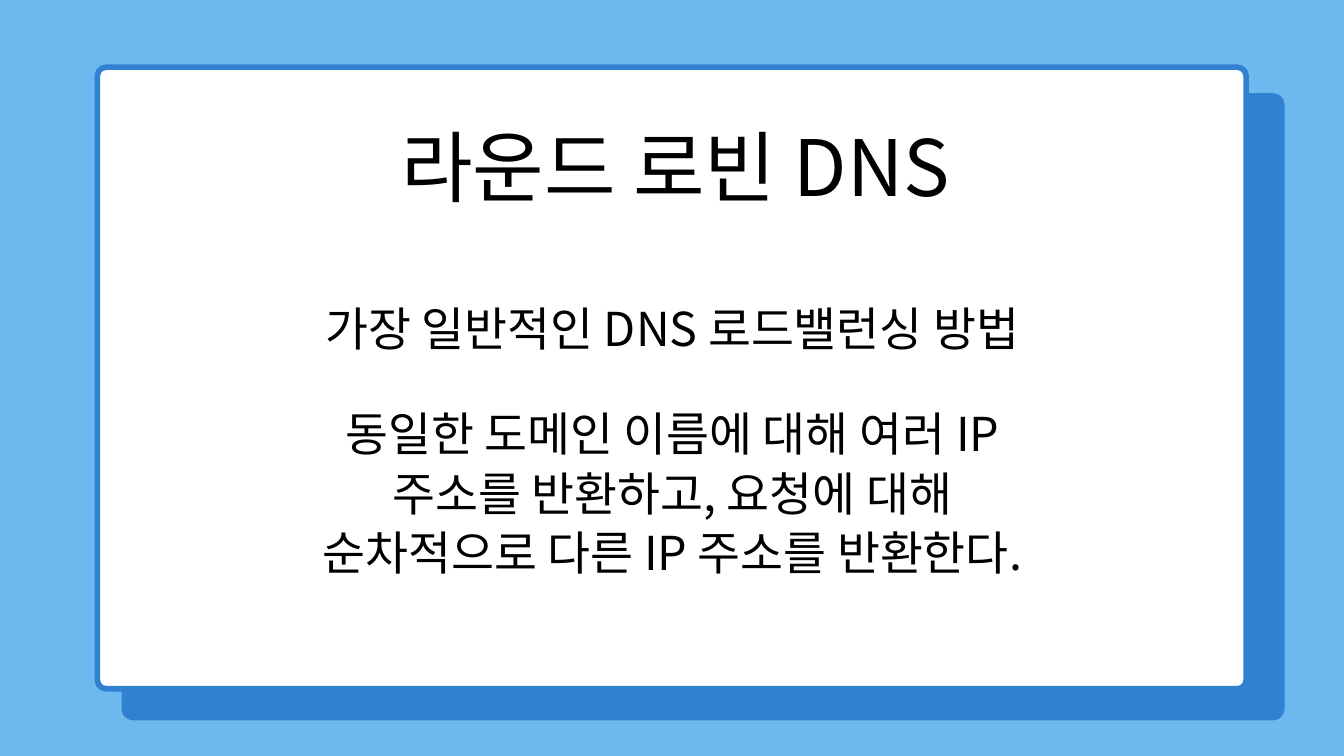
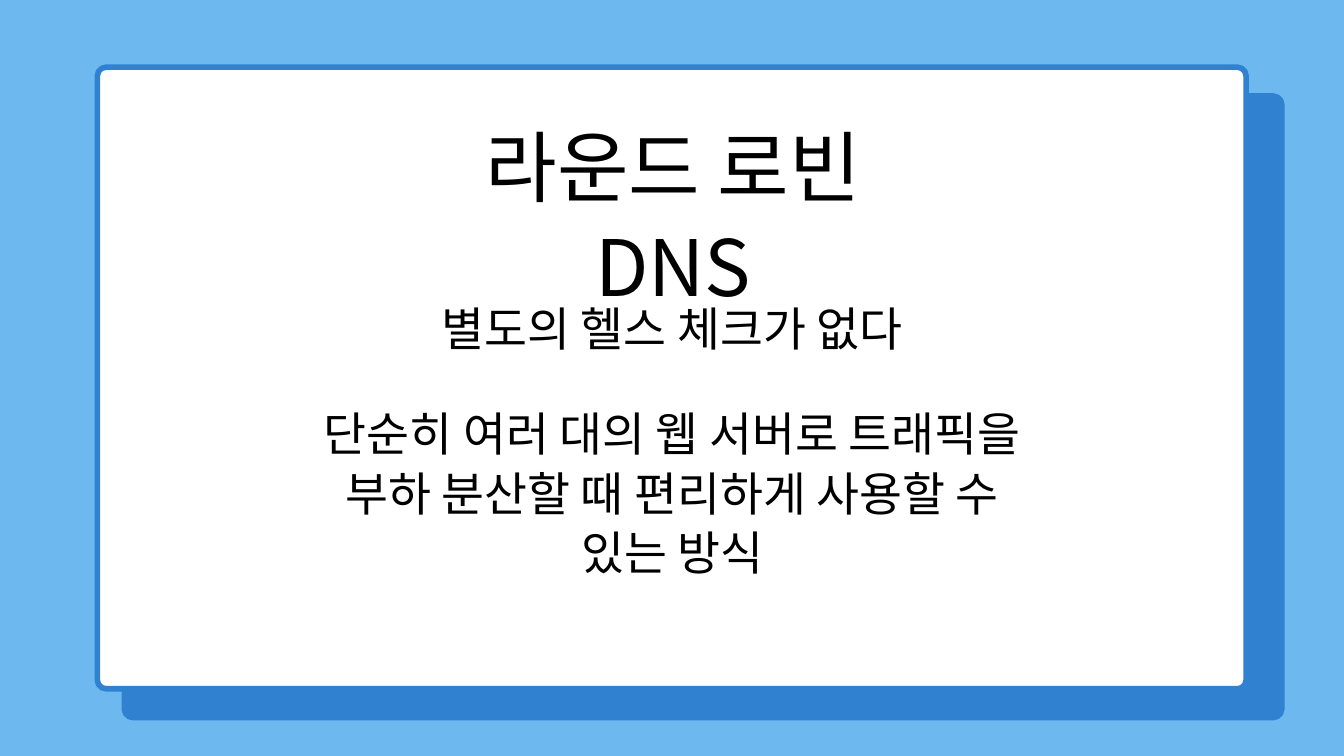
"""Builds two slides on round robin DNS, each a framed card over a blue backdrop."""
from lxml.etree import SubElement
from pptx import Presentation
from pptx.dml.color import RGBColor
from pptx.enum.shapes import MSO_SHAPE
from pptx.enum.text import MSO_ANCHOR, MSO_AUTO_SIZE, PP_ALIGN
from pptx.oxml.ns import qn
from pptx.util import Cm, Pt

SKY = RGBColor(0x6D, 0xB9, 0xEF)
BLUE = RGBColor(0x30, 0x81, 0xD0)
WHITE = RGBColor(0xFF, 0xFF, 0xFF)
BLACK = RGBColor(0x00, 0x00, 0x00)
FONT = "Noto Sans CJK KR"
TITLE_ONLY = 5

TOPICS = [
    (
        "라운드 로빈 DNS",
        20.9,
        "가장 일반적인 DNS 로드밸런싱 방법",
        "동일한 도메인 이름에 대해 여러 IP 주소를 반환하고, 요청에 대해 순차적으로 다른 IP 주소를 반환한다.",
    ),
    (
        "라운드 로빈 DNS",
        20.7,
        "별도의 헬스 체크가 없다",
        "단순히 여러 대의 웹 서버로 트래픽을 부하 분산할 때 편리하게 사용할 수 있는 방식",
    ),
]


class Deck:
    def __init__(self):
        self.presentation = Presentation()
        self.presentation.slide_width = Cm(50.8)
        self.presentation.slide_height = Cm(28.58)
        self.slide = None

    def start_slide(self):
        layout = self.presentation.slide_layouts[TITLE_ONLY]
        self.slide = self.presentation.slides.add_slide(layout)
        background = self.slide.background.fill
        background.solid()
        background.fore_color.rgb = SKY

    def card(self, left, top, width, fill):
        panel = self.slide.shapes.add_shape(
            MSO_SHAPE.ROUNDED_RECTANGLE, Cm(left), Cm(top), Cm(width), Cm(23.5)
        )
        panel.adjustments[0] = 0.014
        panel.shadow.inherit = False
        panel.fill.solid()
        panel.fill.fore_color.rgb = fill
        panel.line.color.rgb = BLUE
        panel.line.width = Pt(6)

    def title(self, wording, width):
        heading = self.slide.shapes.title
        heading.element.getparent().append(heading.element)
        self.place(heading, 15.09, 4.27, width, 3.81)
        self.set_wording(heading.text_frame, wording, 83.3, 106.6)

    def text(self, wording, top, height):
        passage = self.slide.shapes.add_textbox(0, 0, 0, 0)
        self.place(passage, 11.63, top, 27.56, height)
        self.set_wording(passage.text_frame, wording, 50, 64)

    def place(self, shape, left, top, width, height):
        shape.left, shape.top = Cm(left), Cm(top)
        shape.width, shape.height = Cm(width), Cm(height)

    def set_wording(self, frame, wording, size, spacing):
        frame.text = wording
        frame.word_wrap = True
        frame.auto_size = MSO_AUTO_SIZE.SHAPE_TO_FIT_TEXT
        frame.vertical_anchor = MSO_ANCHOR.TOP
        frame.margin_left = frame.margin_right = 0
        frame.margin_top = frame.margin_bottom = 0
        paragraph = frame.paragraphs[0]
        paragraph.alignment = PP_ALIGN.CENTER
        paragraph.line_spacing = Pt(spacing)
        for run in paragraph.runs:
            run.font.size = Pt(size)
            run.font.color.rgb = BLACK
            run.font.name = FONT
            properties = run._r.get_or_add_rPr()
            SubElement(properties, qn("a:ea")).set("typeface", FONT)


def main():
    deck = Deck()
    for heading, heading_width, summary, detail in TOPICS:
        deck.start_slide()
        deck.card(4.7, 3.63, 43.75, BLUE)
        deck.card(3.68, 2.54, 43.42, WHITE)
        deck.title(heading, heading_width)
        deck.text(summary, 11.18, 2.24)
        deck.text(detail, 15.16, 6.73)
    deck.presentation.save("out.pptx")


if __name__ == "__main__":
    main()
